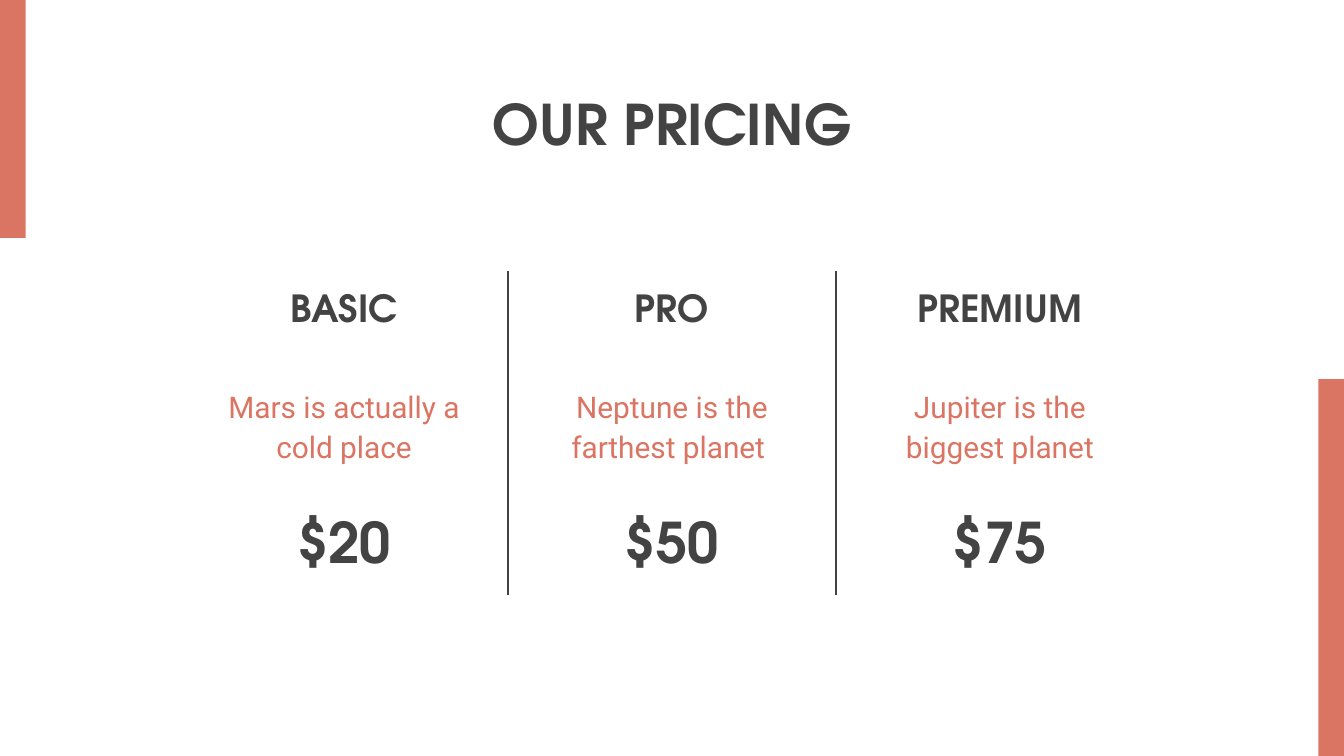
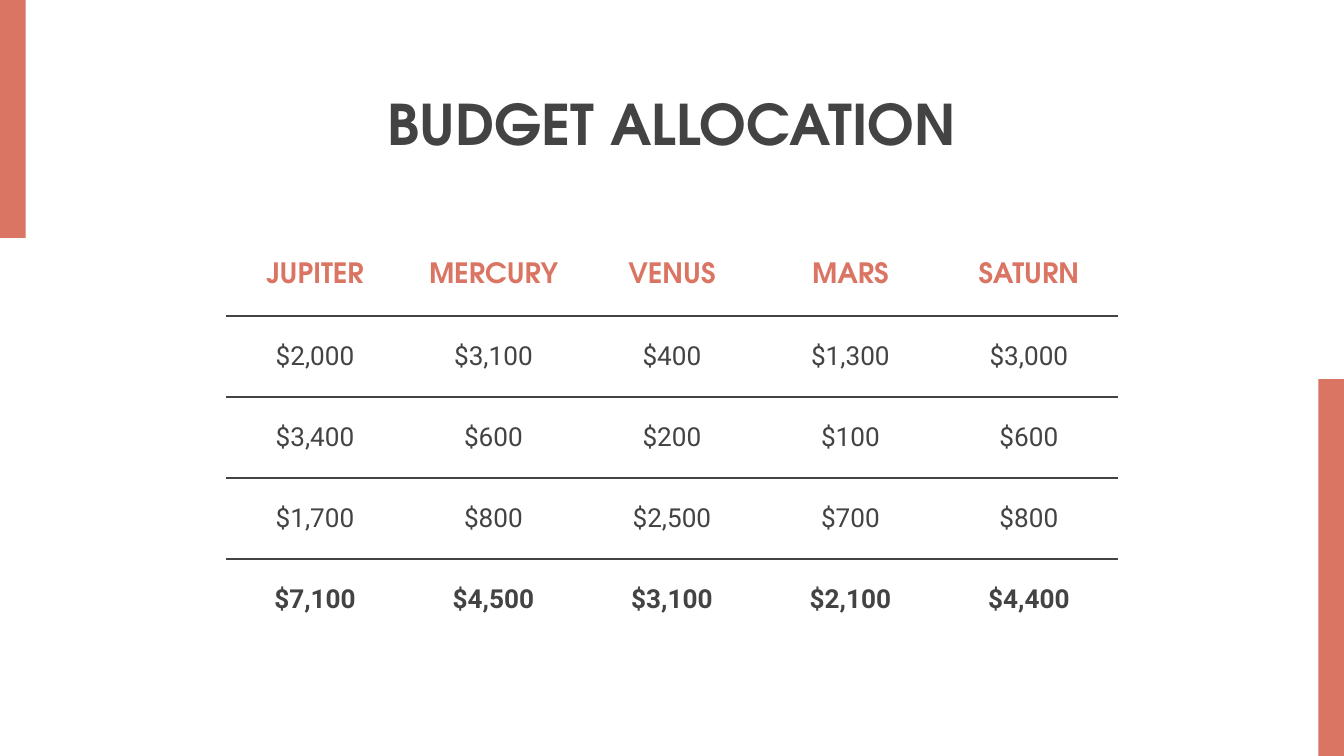
"""Build the pricing and budget pages."""
from dataclasses import dataclass

from lxml.etree import SubElement
from pptx import Presentation
from pptx.dml.color import RGBColor
from pptx.enum.shapes import MSO_SHAPE
from pptx.enum.text import MSO_ANCHOR, PP_ALIGN
from pptx.oxml.ns import qn
from pptx.util import Inches, Pt


@dataclass(frozen=True)
class TextStyle:
    """Describe one kind of text."""
    font: str
    size: float
    color: str
    bold: bool = False
    spacing: float = 1.0
    indent: float = 0


class Theme:
    """Hold the colours, type styles and measures of the deck."""
    INK, ACCENT, PAPER = "434343", "DB7563", "FFFFFF"
    HEADING, BODY = "TeX Gyre Adventor", "Roboto"
    DISPLAY = TextStyle(HEADING, 30, INK, True)
    PLAN = TextStyle(HEADING, 20, INK, True)
    PITCH = TextStyle(BODY, 16, ACCENT, spacing=1.15, indent=0.2)
    COLUMN_HEAD = TextStyle(HEADING, 15, ACCENT, True)
    AMOUNT = TextStyle(BODY, 14, INK)
    TOTAL = TextStyle(BODY, 14, INK, True)
    MARGIN = Inches(0.1)
    RULE = Pt(1.5)
    COLUMNS = 100
    BARS = ((0, 0, 1.9, 17.7), (98.1, 28.2, 1.9, 28.05))


class Deck:
    """Place styled elements on a grid of square modules, 100 to the slide's width."""

    def __init__(self, theme):
        self.theme = theme
        self.presentation = Presentation()
        self.presentation.slide_width = Inches(10)
        self.presentation.slide_height = Inches(5.625)
        self.module = self.presentation.slide_width / theme.COLUMNS
        self.layout = self.presentation.slide_layouts[5]
        self.page = None

    def span(self, *modules):
        """Turn grid modules into lengths."""
        return [round(count * self.module) for count in modules]

    def centre(self, width):
        """Give the left edge of an element centred on the page."""
        return (self.theme.COLUMNS - width) / 2

    def add_page(self, title, title_width):
        """Start a page with its title, drawing the side bars on the layout once."""
        self.page = self.presentation.slides.add_slide(self.layout)
        if len(self.presentation.slides) == 1:
            for number, bar in enumerate(self.theme.BARS):
                self.add_layout_bar(bar, 20 + number)
        self.format_title(title, title_width)

    def add_layout_bar(self, place, number):
        """Draw an accent bar and hand it to the shared layout."""
        bar = self.page.shapes.add_shape(MSO_SHAPE.RECTANGLE, *self.span(*place))
        bar.shadow.inherit = False
        bar.fill.solid()
        bar.fill.fore_color.rgb = RGBColor.from_string(self.theme.ACCENT)
        bar.line.fill.background()
        bar.element.nvSpPr.cNvPr.id = number
        self.layout.shapes.element.append(bar.element)

    def format_title(self, text, width):
        """Place and style the title placeholder."""
        title = self.page.shapes.title
        title.left, title.top, title.width, title.height = self.span(
            self.centre(width), 5.3, width, 7.8)
        title.fill.solid()
        title.fill.fore_color.rgb = RGBColor.from_string(self.theme.PAPER)
        frame = title.text_frame
        frame.word_wrap = True
        frame.vertical_anchor = MSO_ANCHOR.MIDDLE
        self.set_margins(frame)
        self.add_text(frame, text, self.theme.DISPLAY)

    def set_margins(self, box):
        """Give a text frame or cell equal margins."""
        box.margin_left = box.margin_right = self.theme.MARGIN
        box.margin_top = box.margin_bottom = self.theme.MARGIN

    def add_text(self, frame, text, style):
        """Fill a frame with one centred paragraph."""
        paragraph = frame.paragraphs[0]
        paragraph.alignment = PP_ALIGN.CENTER
        paragraph.line_spacing = style.spacing
        if style.indent:
            properties = paragraph._p.get_or_add_pPr()
            for side in ("marL", "marR"):
                properties.set(side, str(Inches(style.indent)))
            properties.set("indent", "0")
        run = paragraph.add_run()
        run.text = text
        run.font.name = style.font
        run.font.size = Pt(style.size)
        run.font.bold = style.bold
        run.font.color.rgb = RGBColor.from_string(style.color)

    def add_table(self, top, column_width, row_heights, rows, styles, vertical_rules):
        """Add a centred table with rules between its columns or its rows."""
        last_row, last_column = len(rows) - 1, len(rows[0]) - 1
        width = column_width * len(rows[0])
        table = self.page.shapes.add_table(
            len(rows), len(rows[0]),
            *self.span(self.centre(width), top, width, sum(row_heights))).table
        table.first_row = table.horz_banding = False
        for column in table.columns:
            column.width, = self.span(column_width)
        for row, height in zip(table.rows, row_heights):
            row.height, = self.span(height)
        for row, (texts, style) in enumerate(zip(rows, styles)):
            for column, text in enumerate(texts):
                cell = table.cell(row, column)
                cell.vertical_anchor = MSO_ANCHOR.MIDDLE
                self.set_margins(cell)
                self.add_text(cell.text_frame, text, style)
                self.add_borders(cell, {
                    "L": vertical_rules and column > 0,
                    "R": vertical_rules and column < last_column,
                    "T": not vertical_rules and row > 0,
                    "B": not vertical_rules and row < last_row})
                cell.fill.background()

    def add_borders(self, cell, sides):
        """Draw the wanted sides of a cell and clear the others."""
        properties = cell._tc.get_or_add_tcPr()
        for side, visible in sides.items():
            line = SubElement(properties, qn(f"a:ln{side}"), w=str(self.theme.RULE))
            if visible:
                fill = SubElement(line, qn("a:solidFill"))
                SubElement(fill, qn("a:srgbClr"), val=self.theme.INK)
            else:
                SubElement(line, qn("a:noFill"))


def main():
    """Build both pages and save the deck."""
    theme = Theme()
    deck = Deck(theme)

    deck.add_page("OUR PRICING", 44.1)
    plans = (
        ("BASIC", "PRO", "PREMIUM"),
        ("Mars is actually a cold place", "Neptune is the farthest planet ",
         "Jupiter is the biggest planet"),
        ("$20", "$50", "$75"),
    )
    deck.add_table(20.2, 24.4, (6, 11, 7.1), plans,
                   (theme.PLAN, theme.PITCH, theme.DISPLAY), vertical_rules=True)

    deck.add_page("BUDGET ALLOCATION", 62.9)
    budget = (
        ("JUPITER", "MERCURY", "VENUS", "MARS", "SATURN"),
        ("$2,000", "$3,100", "$400", "$1,300", "$3,000"),
        ("$3,400", "$600", "$200", "$100", "$600"),
        ("$1,700", "$800", "$2,500", "$700", "$800"),
        ("$7,100", "$4,500", "$3,100", "$2,100", "$4,400"),
    )
    deck.add_table(17.5, 13.28, [6.03] * len(budget), budget,
                   (theme.COLUMN_HEAD, *[theme.AMOUNT] * 3, theme.TOTAL),
                   vertical_rules=False)

    deck.presentation.save("out.pptx")


if __name__ == "__main__":
    main()
